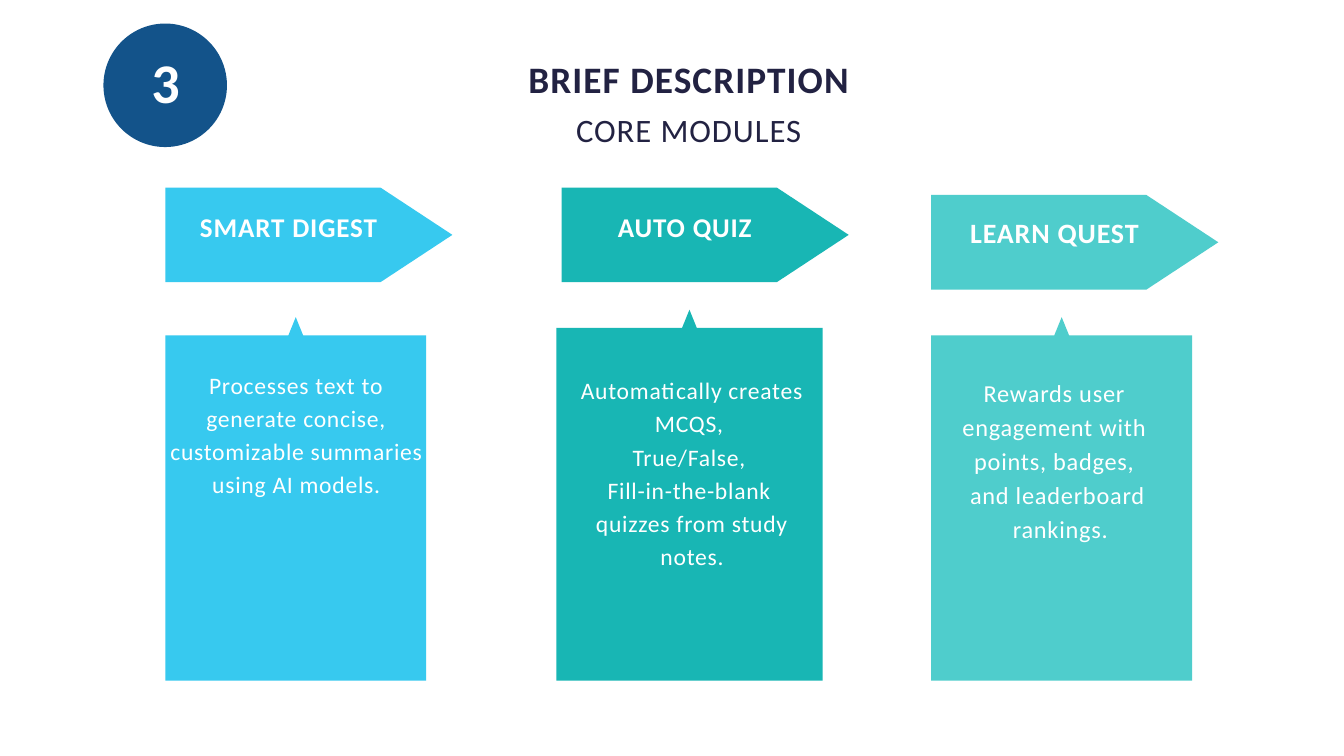
from pptx import Presentation
from pptx.dml.color import RGBColor
from pptx.enum import shapes, text
from pptx.util import Cm, Pt

WHITE = "FFFFFF"
NAVY = "222242"
BLUE = "13538A"
FONT = "Calibri"
CARD_BOTTOM = 25.73

# Places and sizes are in centimetres.
MODULES = [
    dict(
        color="37C9EF", heading="SMART DIGEST", heading_size=29, heading_top=6.27,
        arrow=(6.25, 7.09), card=(6.25, 11.99, 9.86),
        body=["Processes text to generate concise, customizable summaries",
              "using AI models."],
        body_box=(6.27, 13.84, 9.86, 6.2), body_size=25.3, line=35.4,
    ),
    dict(
        color="18B6B4", heading="AUTO QUIZ", heading_size=29, heading_top=6.27,
        arrow=(21.23, 7.09), card=(21.03, 11.71, 10.06),
        body=["Automatically creates MCQS, ", "True/False, ",
              "Fill-in-the-blank ", "quizzes from study notes."],
        body_box=(21.23, 14.05, 9.86, 8.56), body_size=25.3, line=35.4,
    ),
    dict(
        color="4FCDCC", heading="LEARN QUEST", heading_size=30, heading_top=6.48,
        arrow=(35.2, 7.37), card=(35.2, 11.99, 9.86),
        body=["Rewards user ", "engagement with ", "points, badges, ",
              "and leaderboard", " rankings."],
        body_box=(33.88, 14.12, 12.17, 6.3), body_size=26.1, line=36.5,
    ),
]


def rgb(value):
    return RGBColor.from_string(value)


def paint(shape, color):
    shape.shadow.inherit = False
    shape.fill.solid()
    shape.fill.fore_color.rgb = rgb(color)
    shape.line.fill.background()


def add_text(slide, box, lines, size, line, color=WHITE, bold=False,
             spacing=0.8, middle=False):
    """Add centred paragraphs; line is the line pitch, spacing the tracking in points."""
    frame = slide.shapes.add_textbox(*map(Cm, box)).text_frame
    frame.word_wrap = True
    frame.margin_left = frame.margin_right = 0
    frame.margin_top = frame.margin_bottom = 0
    frame.vertical_anchor = text.MSO_ANCHOR.MIDDLE if middle else text.MSO_ANCHOR.TOP
    for index, content in enumerate(lines):
        paragraph = frame.add_paragraph() if index else frame.paragraphs[0]
        paragraph.alignment = text.PP_ALIGN.CENTER
        paragraph.line_spacing = Pt(line)
        run = paragraph.add_run()
        run.text = content
        run.font.name = FONT
        run.font.size = Pt(size)
        run.font.bold = bold
        run.font.color.rgb = rgb(color)
        run._r.get_or_add_rPr().set("spc", str(round(spacing * 100)))


def add_arrow(slide, left, top, color):
    arrow = slide.shapes.add_shape(
        shapes.MSO_SHAPE.PENTAGON, Cm(left), Cm(top), Cm(10.85), Cm(3.58))
    arrow.adjustments[0] = 0.76
    paint(arrow, color)


def add_card(slide, left, top, width, color):
    """Draw a rectangle with a small pointer in the middle of its top side."""
    right, center, shoulder = left + width, left + width / 2, top + 0.69
    points = [(left, shoulder), (center - 0.28, shoulder), (center, top),
              (center + 0.28, shoulder), (right, shoulder),
              (right, CARD_BOTTOM), (left, CARD_BOTTOM)]
    corners = [(Cm(x), Cm(y)) for x, y in points]
    builder = slide.shapes.build_freeform(*corners[0])
    builder.add_line_segments(corners[1:], close=True)
    paint(builder.convert_to_shape(), color)


def add_module(slide, module):
    color = module["color"]
    size = module["heading_size"]
    add_arrow(slide, *module["arrow"], color)
    add_text(slide, (module["arrow"][0], module["heading_top"], 9.32, 4.37),
             [module["heading"]], size, size * 1.4, bold=True, spacing=0.9, middle=True)
    add_card(slide, *module["card"], color)
    add_text(slide, module["body_box"], module["body"],
             module["body_size"], module["line"])


def add_number(slide):
    circle = slide.shapes.add_shape(
        shapes.MSO_SHAPE.OVAL, Cm(3.91), Cm(0.89), Cm(4.67), Cm(4.67))
    paint(circle, BLUE)
    add_text(slide, (4.37, 0.61, 3.78, 4.5), ["3"], 60, 84,
             bold=True, spacing=1.8, middle=True)


def main():
    presentation = Presentation()
    presentation.slide_width = Cm(50.8)
    presentation.slide_height = Cm(28.58)
    slide = presentation.slides.add_slide(presentation.slide_layouts[6])
    add_text(slide, (10.49, 1.96, 31.09, 1.78), ["BRIEF DESCRIPTION"], 40, 52.4,
             color=NAVY, bold=True, spacing=1.2)
    add_text(slide, (10.49, 3.89, 31.09, 1.6), ["CORE MODULES"], 35, 49,
             color=NAVY, spacing=1)
    add_number(slide)
    for module in MODULES:
        add_module(slide, module)
    presentation.save("out.pptx")


if __name__ == "__main__":
    main()
